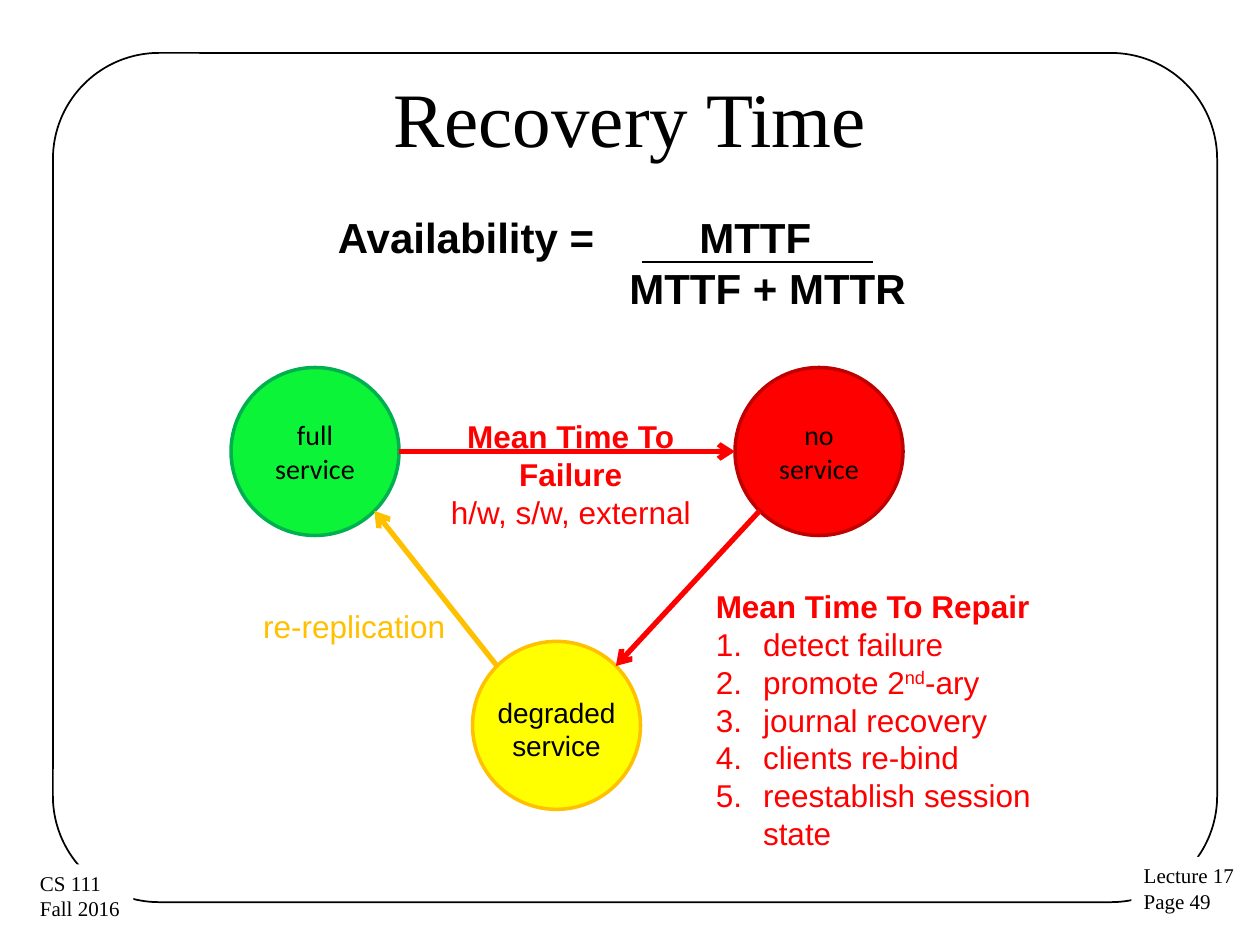
"""Build the Recovery Time slide: an availability formula and a service state cycle."""
from dataclasses import dataclass
from math import hypot

from lxml import etree
from pptx import Presentation
from pptx.dml.color import RGBColor
from pptx.enum.shapes import MSO_CONNECTOR, MSO_SHAPE
from pptx.enum.text import MSO_ANCHOR, MSO_AUTO_SIZE, PP_ALIGN
from pptx.oxml.ns import qn
from pptx.util import Pt

LEFT, CENTER = PP_ALIGN.LEFT, PP_ALIGN.CENTER
TOP, MIDDLE = MSO_ANCHOR.TOP, MSO_ANCHOR.MIDDLE
NO_AUTOSIZE = MSO_AUTO_SIZE.NONE
STRAIGHT = MSO_CONNECTOR.STRAIGHT
ELLIPSE, RECTANGLE, ROUNDED = MSO_SHAPE.OVAL, MSO_SHAPE.RECTANGLE, MSO_SHAPE.ROUNDED_RECTANGLE


@dataclass(frozen=True)
class Theme:
    """Colours, fonts and type sizes of the slide."""
    black: str = "000000"
    white: str = "FFFFFF"
    red: str = "FF0000"
    dark_red: str = "C00000"
    green: str = "0CF438"
    dark_green: str = "00B050"
    yellow: str = "FFFF00"
    amber: str = "FFC000"
    serif: str = "Times New Roman"
    sans: str = "Arial"
    state_font: str = "Calibri"
    title: int = 44
    formula: int = 24
    label: int = 18
    state: int = 16
    footer: int = 12


@dataclass(frozen=True)
class Span:
    """One run of text with its weight and baseline shift."""
    text: str
    bold: bool = False
    raised: bool = False


class SlideBuilder:
    """Holds the theme and the current slide, and draws each kind of element."""

    def __init__(self, slide, theme):
        self.slide, self.theme = slide, theme

    def fill_text(self, box, paragraphs, size, font, color, align=LEFT, anchor=TOP, wrap=True):
        frame = box.text_frame
        frame.auto_size, frame.word_wrap, frame.vertical_anchor = NO_AUTOSIZE, wrap, anchor
        for index, spans in enumerate(paragraphs):
            para = frame.add_paragraph() if index else frame.paragraphs[0]
            para.alignment, para.space_before = align, Pt(0)
            for span in spans:
                run = para.add_run()
                run.text = span.text
                run.font.size, run.font.name, run.font.bold = Pt(size), font, span.bold
                run.font.color.rgb = RGBColor.from_string(color)
                if span.raised:
                    run._r.get_or_add_rPr().set("baseline", "30000")
        return frame.paragraphs

    def place(self, box, bounds):
        box.left, box.top, box.width, box.height = map(Pt, bounds)
        return box

    def title(self, text, bounds):
        box = self.place(self.slide.shapes.title, bounds)
        self.fill_text(box, [[Span(text)]], self.theme.title, self.theme.serif,
                       self.theme.black, CENTER, MIDDLE)

    def text(self, paragraphs, bounds, size, color, align=LEFT):
        box = self.slide.shapes.add_textbox(*map(Pt, bounds))
        return self.fill_text(box, paragraphs, size, self.theme.sans, color, align)

    def numbered_list(self, heading, items, bounds, color, indent=27):
        box = self.place(self.slide.placeholders[1], bounds)
        paras = self.fill_text(box, [heading, *items], self.theme.label, self.theme.sans, color)
        for index, para in enumerate(paras):
            properties = para._p.get_or_add_pPr()
            properties.set("marL", str(Pt(indent)))
            properties.set("indent", str(-Pt(indent)))
            if index:
                bullet_font = etree.SubElement(properties, qn("a:buFont"))
                bullet_font.set("typeface", "+mj-lt")
                etree.SubElement(properties, qn("a:buAutoNum")).set("type", "arabicPeriod")
            else:
                etree.SubElement(properties, qn("a:buNone"))

    def formula(self, name, numerator, denominator, bounds, numerator_at, denominator_at):
        paragraphs = [[Span(f"{name}\t{numerator}", True)], [Span(denominator, True)]]
        first, second = self.text(paragraphs, bounds, self.theme.formula, self.theme.black)
        tabs = etree.SubElement(first._p.get_or_add_pPr(), qn("a:tabLst"))
        etree.SubElement(tabs, qn("a:tab"), pos=str(Pt(numerator_at)), algn="l")
        second._p.get_or_add_pPr().set("marL", str(Pt(denominator_at)))

    def shape(self, kind, bounds, fill=None, line=None, width=1):
        shape = self.slide.shapes.add_shape(kind, *map(Pt, bounds))
        shape.shadow.inherit = False
        if fill:
            shape.fill.solid()
            shape.fill.fore_color.rgb = RGBColor.from_string(fill)
        else:
            shape.fill.background()
        if line:
            shape.line.color.rgb = RGBColor.from_string(line)
            shape.line.width = Pt(width)
        else:
            shape.line.fill.background()
        return shape

    def footer(self, lines, bounds):
        box = self.shape(RECTANGLE, bounds, self.theme.white)
        self.fill_text(box, [[Span(line)] for line in lines], self.theme.footer,
                       self.theme.serif, self.theme.black, wrap=False)

    def state(self, center, fill, line, text="", radius=48):
        x, y = center
        bounds = (x - radius, y - radius, 2 * radius, 2 * radius)
        circle = self.shape(ELLIPSE, bounds, fill, line, 2)
        if text:
            self.fill_text(circle, [[Span(text)]], self.theme.state, self.theme.state_font,
                           self.theme.black, CENTER, MIDDLE)
        return circle

    def line(self, start, end, color, width, arrow=False):
        connector = self.slide.shapes.add_connector(STRAIGHT, *map(Pt, (*start, *end)))
        connector.line.color.rgb = RGBColor.from_string(color)
        connector.line.width = Pt(width)
        if arrow:
            etree.SubElement(connector.line._get_or_add_ln(), qn("a:tailEnd"), type="arrow")
        etree.SubElement(connector._element.spPr, qn("a:effectLst"))

    def transition(self, source, target, leave, arrive, color):
        start, end = self.rim(source, *leave), self.rim(target, *arrive)
        self.line(start, end, color, 3, arrow=True)

    @staticmethod
    def rim(circle, across, down):
        radius = circle.width.pt / 2
        reach = radius / hypot(across, down)
        return (circle.left.pt + radius + across * reach,
                circle.top.pt + radius + down * reach)


def main():
    deck = Presentation()
    deck.slide_width, deck.slide_height = Pt(720), Pt(540)
    theme = Theme()
    page = SlideBuilder(deck.slides.add_slide(deck.slide_layouts[1]), theme)

    frame = page.shape(ROUNDED, (30.25, 30.25, 665.25, 485.25), line=theme.black)
    frame.adjustments[0] = 0.125
    page.footer(["Lecture 17", "Page 49"], (646.5, 489.6, 67, 36.7))
    page.footer(["CS 111", "Fall 2016"], (15.8, 493.9, 60.5, 36.7))
    page.title("Recovery Time", (36, 21.6, 648, 90))

    page.formula("Availability =", "MTTF", "MTTF + MTTR", (186, 117.4, 420, 65.5), 206.5, 166.5)
    page.line((367, 149.8), (499, 149.8), theme.black, 1.5)

    full = page.state((180, 258), theme.green, theme.dark_green, "full service")
    down = page.state((468, 258), theme.red, theme.dark_red, "no service")
    degraded = page.state((318, 414.5), theme.yellow, theme.amber)
    page.text([[Span("degraded")], [Span("service")]], (275.8, 393.8, 84.4, 46),
              theme.state, theme.black, CENTER)

    page.transition(full, down, (1, 0), (-1, 0), theme.red)
    page.transition(down, degraded, (-1, 1), (1, -1), theme.red)
    page.transition(degraded, full, (-1, -1), (1, 1), theme.amber)

    page.text([[Span("Mean Time To Failure", True)], [Span("h/w, s/w, external")]],
              (238.3, 234.7, 175.7, 51), theme.label, theme.red, CENTER)
    page.text([[Span("re-replication")]], (143.3, 343.4, 174, 29), theme.label, theme.amber)
    steps = [
        [Span("detect failure")],
        [Span("promote 2"), Span("nd", raised=True), Span("-ary")],
        [Span("journal recovery")],
        [Span("clients re-bind")],
        [Span("reestablish session state")],
    ]
    page.numbered_list([Span("Mean Time To Repair", True)], steps,
                       (401.8, 332, 222.5, 160), theme.red)
    deck.save("out.pptx")


if __name__ == "__main__":
    main()
